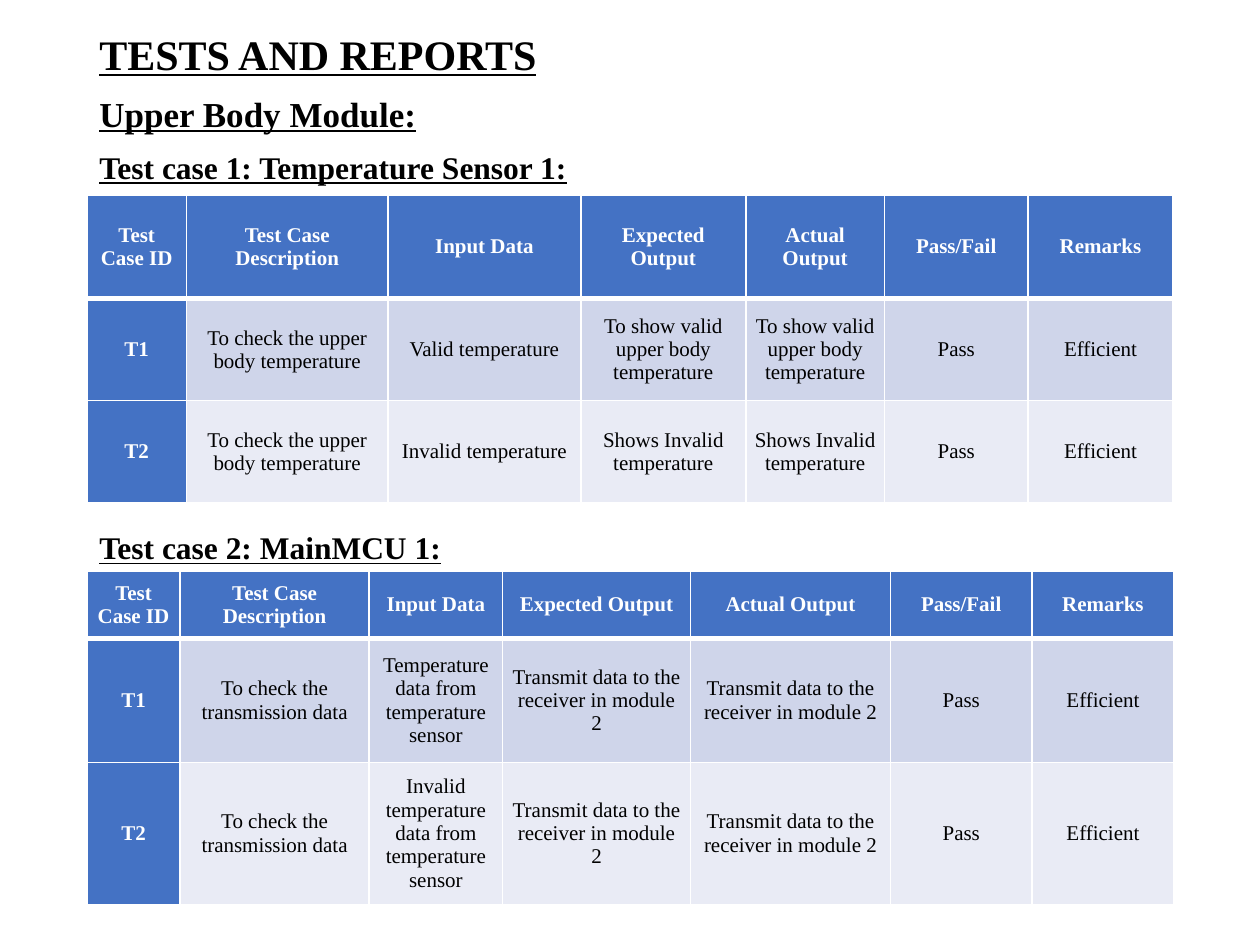
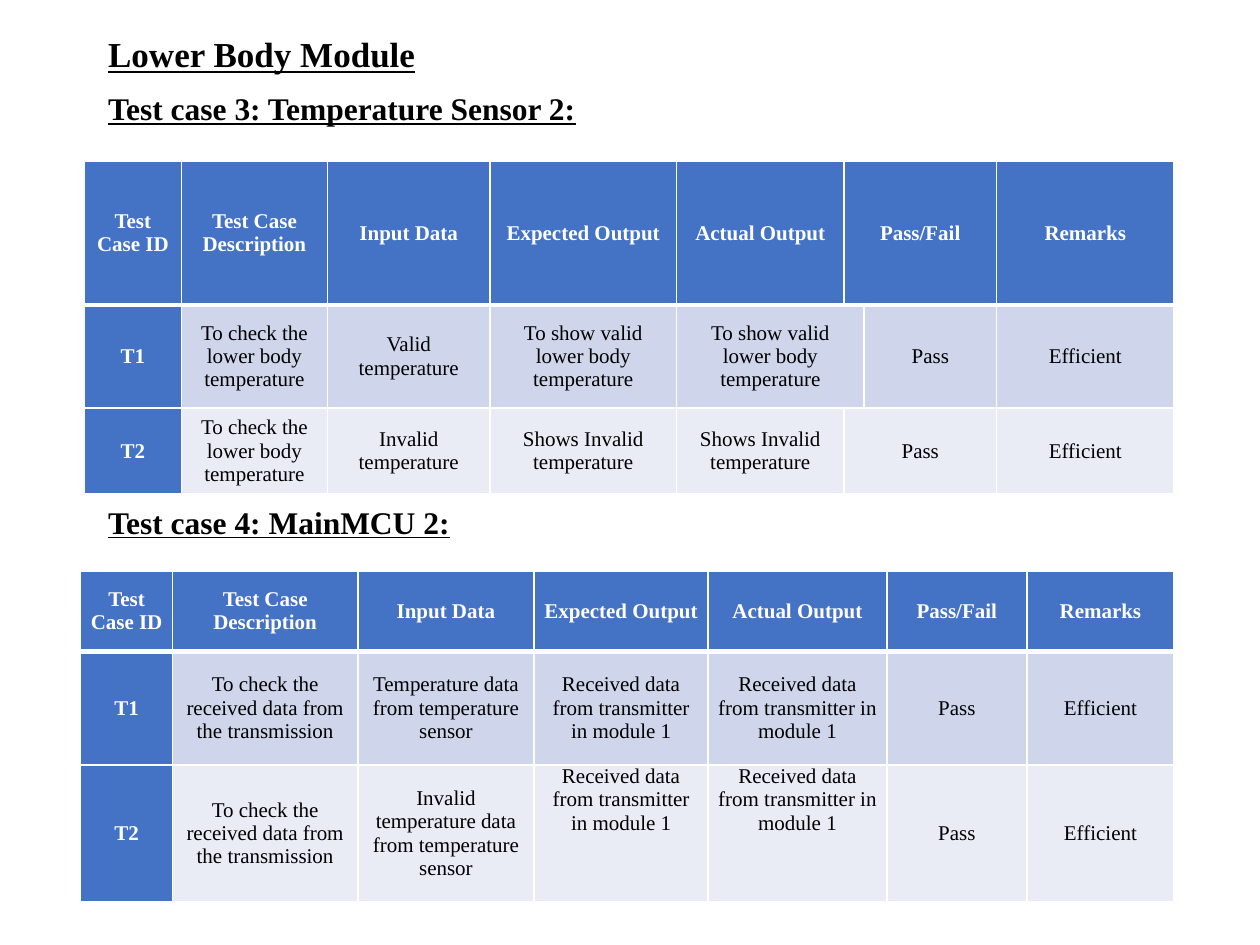
from dataclasses import dataclass

import pptx
import pptx.dml.color
import pptx.enum.text
import pptx.oxml
import pptx.oxml.ns
import pptx.presentation
import pptx.slide
import pptx.table
import pptx.util
from pptx.util import Inches

COLORS = {
    "text": "000000",
    "white": "FFFFFF",
    "header": "4472C4",
    "odd_row": "CFD5EA",
    "even_row": "E9EBF5",
}
FONT = "Times New Roman"
HEADERS = ("Test Case ID", "Test Case Description", "Input Data", "Expected Output",
           "Actual Output", "Pass/Fail", "Remarks")
TITLE, MODULE, CASE = 24, 20, 18
THIN, THICK = 1, 3


@dataclass(frozen=True)
class Heading:
    text: str
    size: int
    space_before: int = 10


@dataclass(frozen=True)
class HeadingBox:
    left: float
    top: float
    width: float
    height: float
    headings: tuple[Heading, ...]


@dataclass(frozen=True)
class TestCase:
    description: str
    input_data: str
    output: str


@dataclass(frozen=True)
class TestTable:
    left: float
    top: float
    widths: tuple[float, ...]
    heights: tuple[float, ...]
    cases: tuple[TestCase, ...]
    merges: tuple[tuple[int, int], ...] = ()
    top_cells: tuple[tuple[int, int], ...] = ()


@dataclass(frozen=True)
class ReportSlide:
    heading_box: HeadingBox
    tables: tuple[TestTable, ...]


def rgb(name: str) -> pptx.dml.color.RGBColor:
    return pptx.dml.color.RGBColor.from_string(COLORS[name])


def add_run(p, text: str, size: int, color: str, bold: bool, underline: bool = False) -> None:
    r = p.add_run()
    r.text = text
    r.font.name = FONT
    r.font.size = pptx.util.Pt(size)
    r.font.color.rgb = rgb(color)
    r.font.bold = bold
    r.font.underline = underline


def add_headings(s: pptx.slide.Slide, box: HeadingBox) -> None:
    sp = s.shapes.add_textbox(Inches(box.left), Inches(box.top),
                              Inches(box.width), Inches(box.height))
    tf = sp.text_frame
    tf.word_wrap = True
    for i, heading in enumerate(box.headings):
        p = tf.add_paragraph() if i else tf.paragraphs[0]
        p.line_spacing = 0.9
        p.space_before = pptx.util.Pt(heading.space_before)
        add_run(p, heading.text, heading.size, "text", bold=True, underline=True)


def set_borders(cell: pptx.table._Cell, row: int) -> None:
    widths = {"lnL": THIN, "lnR": THIN,
              "lnT": THICK if row == 1 else THIN,
              "lnB": THICK if row == 0 else THIN}
    for tag, width in widths.items():
        cell._tc.get_or_add_tcPr().append(pptx.oxml.parse_xml(
            f'<a:{tag} {pptx.oxml.ns.nsdecls("a")} w="{pptx.util.Pt(width)}">'
            f'<a:solidFill><a:srgbClr val="{COLORS["white"]}"/></a:solidFill></a:{tag}>'))


def style_cell(cell: pptx.table._Cell, row: int, is_heading: bool, at_top: bool) -> None:
    set_borders(cell, row)
    cell.fill.solid()
    cell.fill.fore_color.rgb = rgb(
        "header" if is_heading else "odd_row" if row % 2 else "even_row")
    cell.margin_left = cell.margin_right = Inches(0.07)
    cell.margin_top = cell.margin_bottom = 0
    anchors = pptx.enum.text.MSO_ANCHOR
    cell.vertical_anchor = anchors.TOP if at_top else anchors.MIDDLE


def table_texts(table: TestTable) -> list[tuple[str, ...]]:
    return [HEADERS] + [
        (f"T{i}", c.description, c.input_data, c.output, c.output, "Pass", "Efficient")
        for i, c in enumerate(table.cases, 1)]


def add_test_table(s: pptx.slide.Slide, table: TestTable) -> None:
    tbl = s.shapes.add_table(len(table.heights), len(table.widths),
                             Inches(table.left), Inches(table.top),
                             Inches(sum(table.widths)), Inches(sum(table.heights))).table
    for column, width in zip(tbl.columns, table.widths):
        column.width = Inches(width)
    for row, height in zip(tbl.rows, table.heights):
        row.height = Inches(height)
    for row, col in table.merges:
        tbl.cell(row, col).merge(tbl.cell(row, col + 1))
    for row, row_texts in enumerate(table_texts(table)):
        texts = iter(row_texts)
        for col in range(len(table.widths)):
            cell = tbl.cell(row, col)
            is_heading = row == 0 or col == 0
            style_cell(cell, row, is_heading, (row, col) in table.top_cells)
            if cell.is_spanned:
                continue
            p = cell.text_frame.paragraphs[0]
            p.alignment = pptx.enum.text.PP_ALIGN.CENTER
            add_run(p, next(texts), 12, "white" if is_heading else "text", bold=is_heading)


def add_report_slide(prs: pptx.presentation.Presentation, report: ReportSlide) -> None:
    s = prs.slides.add_slide(prs.slide_layouts[6])
    add_headings(s, report.heading_box)
    for table in report.tables:
        add_test_table(s, table)


def sensor_cases(part: str) -> tuple[TestCase, ...]:
    description = f"To check the {part} body temperature"
    return (TestCase(description, "Valid temperature", f"To show valid {part} body temperature"),
            TestCase(description, "Invalid temperature", "Shows Invalid temperature"))


def node_cases(description: str, output: str) -> tuple[TestCase, ...]:
    return (TestCase(description, "Temperature data from temperature sensor", output),
            TestCase(description, "Invalid temperature data from temperature sensor", output))


REPORTS = (
    ReportSlide(
        HeadingBox(0.69, 0.22, 8.85, 7.28, (
            Heading("TESTS AND REPORTS", TITLE),
            Heading("Upper Body Module:", MODULE),
            Heading("Test case 1: Temperature Sensor 1:", CASE),
            Heading("Test case 2: MainMCU 1:", CASE, 198))),
        (TestTable(0.69, 1.55, (0.79, 1.6, 1.53, 1.31, 1.1, 1.14, 1.15), (0.82, 0.81, 0.81),
                   sensor_cases("upper")),
         TestTable(0.69, 4.53, (0.74, 1.5, 1.06, 1.49, 1.59, 1.12, 1.13), (0.54, 0.98, 1.13),
                   node_cases("To check the transmission data",
                              "Transmit data to the receiver in module 2")))),
    ReportSlide(
        HeadingBox(0.76, 0.25, 8.77, 7.25, (
            Heading("Lower Body Module", MODULE),
            Heading("Test case 3: Temperature Sensor 2:", CASE),
            Heading("Test case 4: MainMCU 2:", CASE, 217))),
        (TestTable(0.67, 1.28, (0.77, 1.16, 1.29, 1.48, 1.33, 0.16, 1.05, 1.41),
                   (1.14, 0.82, 0.68), sensor_cases("lower"),
                   merges=((0, 5), (1, 4), (2, 5))),
         TestTable(0.64, 4.53, (0.73, 1.47, 1.4, 1.38, 1.42, 1.11, 1.17), (0.64, 0.9, 1.09),
                   node_cases("To check the received data from the transmission",
                              "Received data from transmitter in module 1"),
                   top_cells=((2, 3), (2, 4))))),
)


def main() -> None:
    prs = pptx.Presentation()
    prs.slide_width = Inches(10)
    prs.slide_height = Inches(7.5)
    for report in REPORTS:
        add_report_slide(prs, report)
    prs.save("out.pptx")


if __name__ == "__main__":
    main()
